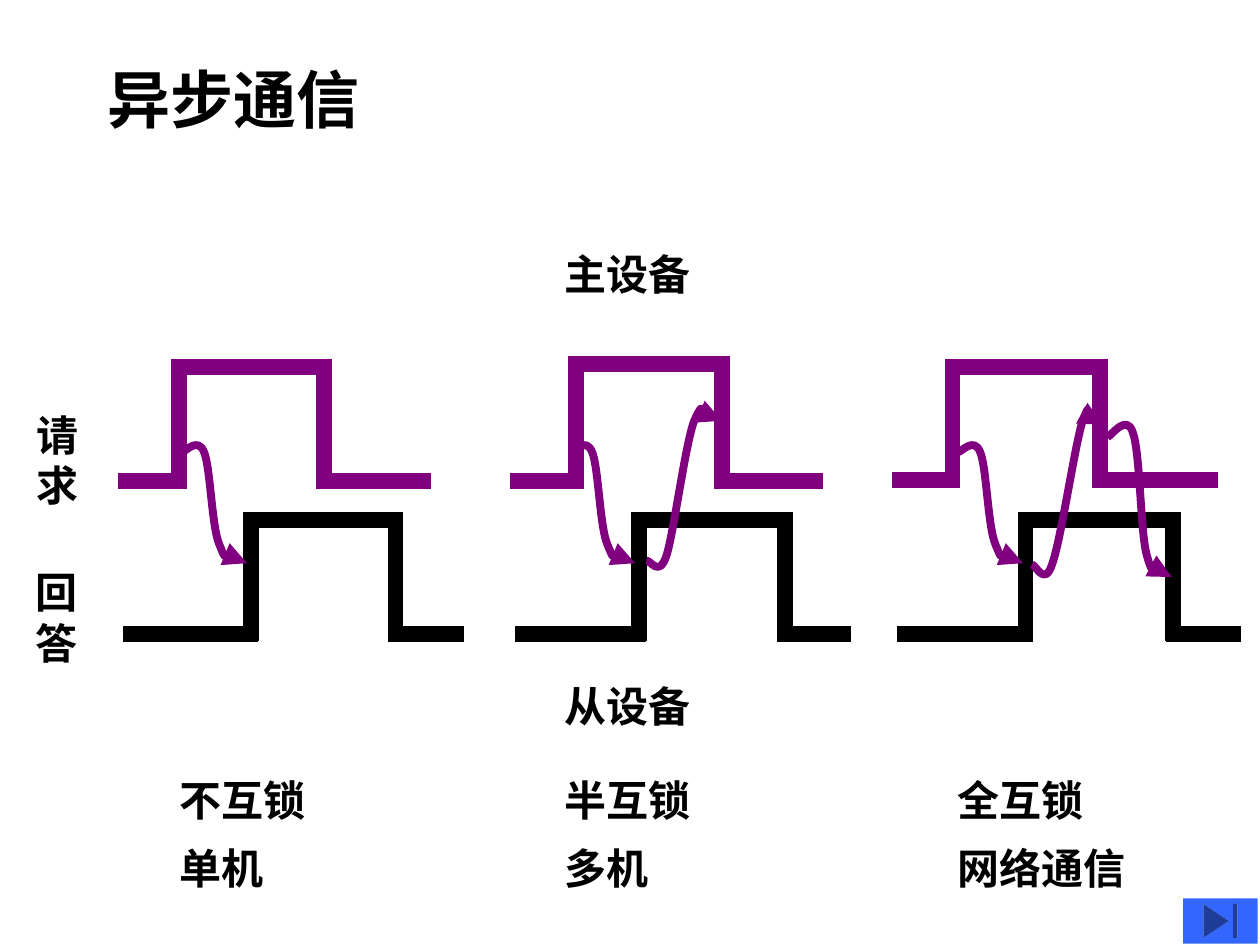
from lxml import etree
from pptx import Presentation
from pptx.dml.color import RGBColor
from pptx.enum import shapes, text
from pptx.oxml import ns
from pptx.util import Inches, Pt

BLACK = RGBColor(0x00, 0x00, 0x00)
PURPLE = RGBColor(0x80, 0x00, 0x80)
BLUE = RGBColor(0x33, 0x66, 0xFF)
FONT = "Times New Roman"
HALF_LINE = 0.06
COLUMN_STEP = 3.08

# Left end, rising edge, falling edge, right end, high level, low level
REQUESTS = [
    (0.94, 1.42, 2.57, 3.42, 2.91, 3.82),
    (4.05, 4.57, 5.73, 6.53, 2.89, 3.82),
    (7.08, 7.56, 8.73, 9.67, 2.91, 3.81),
]
ANSWERS = [
    (0.98, 1.99, 3.14, 3.68, 4.13, 5.03),
    (4.09, 5.07, 6.23, 6.75, 4.13, 5.03),
    (7.12, 8.14, 9.31, 9.85, 4.13, 5.03),
]

# Start point, then three points for each Bezier segment
REQUEST_TO_ANSWER = [
    (1.44, 3.59), (1.47, 3.59), (1.57, 3.46), (1.62, 3.59), (1.67, 3.71),
    (1.68, 4.18), (1.74, 4.32), (1.8, 4.47), (1.91, 4.44), (1.96, 4.47),
]
ANSWER_TO_REQUEST = [
    [(5.13, 4.45), (5.16, 4.44), (5.23, 4.59), (5.29, 4.41), (5.35, 4.22),
     (5.44, 3.52), (5.51, 3.34), (5.59, 3.17), (5.7, 3.34), (5.73, 3.34)],
    [(8.19, 4.48), (8.22, 4.48), (8.29, 4.66), (8.35, 4.48), (8.42, 4.29),
     (8.53, 3.54), (8.59, 3.35), (8.66, 3.17), (8.72, 3.36), (8.75, 3.37)],
]
REQUEST_END_TO_ANSWER_END = [
    (8.79, 3.47), (8.82, 3.46), (8.94, 3.28), (8.99, 3.43), (9.05, 3.59),
    (9.05, 4.21), (9.1, 4.4), (9.15, 4.58), (9.27, 4.51), (9.3, 4.54),
    (9.33, 4.57), (9.3, 4.57), (9.3, 4.58),
]

# Left edge, box width, wording
MODES = [
    (1.33, "不互锁", "单机"),
    (4.38, "半互锁", "多机"),
    (7.5, "全互锁", "网络通信"),
]


def format_text(frame, wording, size):
    """Fill a text frame with bold black text."""
    frame.text = wording
    frame.vertical_anchor = text.MSO_ANCHOR.TOP
    for paragraph in frame.paragraphs:
        paragraph.alignment = text.PP_ALIGN.LEFT
        for run in paragraph.runs:
            run.font.size = Pt(size)
            run.font.name = FONT
            run.font.bold = True
            run.font.color.rgb = BLACK


def set_title(slide, wording):
    """Move and format the title placeholder."""
    title = slide.shapes.title
    title.left, title.top = Inches(0.75), Inches(0.43)
    title.width, title.height = Inches(3.07), Inches(0.7)
    format_text(title.text_frame, wording, 36)


def add_label(slide, wording, left, top, width=1.67, height=0.5, wrap=True):
    """Add a text label."""
    label = slide.shapes.add_textbox(
        Inches(left), Inches(top), Inches(width), Inches(height))
    frame = label.text_frame
    format_text(frame, wording, 24)
    frame.word_wrap = wrap
    frame.auto_size = text.MSO_AUTO_SIZE.SHAPE_TO_FIT_TEXT


def add_level(slide, start, end, color):
    """Add one straight piece of a waveform."""
    level = slide.shapes.add_connector(
        shapes.MSO_CONNECTOR.STRAIGHT, *map(Inches, start + end))
    level.line.color.rgb = color
    level.line.width = Pt(9)
    etree.SubElement(level._element.spPr, ns.qn("a:effectLst"))


def add_pulse(slide, left, rise, fall, right, high, low, color):
    """Add a pulse whose pieces overlap at the corners."""
    h = HALF_LINE
    add_level(slide, (left, low), (rise + h, low), color)
    add_level(slide, (rise, high - h), (rise, low + h), color)
    add_level(slide, (rise - h, high), (fall + h, high), color)
    add_level(slide, (fall, high - h), (fall, low + h), color)
    add_level(slide, (fall - h, low), (right, low), color)


def add_curved_arrow(slide, points, shift=0):
    """Add a Bezier curve with an arrowhead at its end."""
    corners = [(Inches(x + shift), Inches(y)) for x, y in points]
    builder = slide.shapes.build_freeform(*corners[0])
    builder.add_line_segments(corners[1:], close=False)
    curve = builder.convert_to_shape()
    lines = list(curve._element.iter(ns.qn("a:lnTo")))
    for first in range(0, len(lines), 3):
        bezier = etree.Element(ns.qn("a:cubicBezTo"))
        lines[first].addprevious(bezier)
        for line in lines[first:first + 3]:
            bezier.append(line[0])
            line.getparent().remove(line)
    curve.shadow.inherit = False
    curve.fill.background()
    curve.line.color.rgb = PURPLE
    curve.line.width = Pt(4.5)
    etree.SubElement(
        curve.line._get_or_add_ln(), ns.qn("a:tailEnd"), type="triangle")


def add_end_button(slide):
    """Add the button in the lower right corner."""
    button = slide.shapes.add_shape(
        shapes.MSO_SHAPE.ACTION_BUTTON_END,
        Inches(9.39), Inches(7.13), Inches(0.59), Inches(0.36))
    button.shadow.inherit = False
    button.fill.solid()
    button.fill.fore_color.rgb = BLUE
    button.line.fill.background()


def main():
    """Build the slide on asynchronous communication."""
    deck = Presentation()
    deck.slide_width, deck.slide_height = Inches(10), Inches(7.5)
    slide = deck.slides.add_slide(deck.slide_layouts[5])
    set_title(slide, "异步通信")

    add_label(slide, "主设备", 4.38, 1.92, 2.53)
    add_label(slide, "从设备", 4.38, 5.35, 2.95)
    add_label(slide, "请\n求", 0.19, 3.2, 0.54, 0.9, wrap=False)
    add_label(slide, "回\n答", 0.18, 4.45, 0.54, 0.9, wrap=False)
    for left, locking, usage in MODES:
        add_label(slide, locking, left, 6.1)
        add_label(slide, usage, left, 6.64)

    for pulses, color in ((REQUESTS, PURPLE), (ANSWERS, BLACK)):
        for pulse in pulses:
            add_pulse(slide, *pulse, color)

    for column in range(len(MODES)):
        add_curved_arrow(slide, REQUEST_TO_ANSWER, column * COLUMN_STEP)
    for points in ANSWER_TO_REQUEST:
        add_curved_arrow(slide, points)
    add_curved_arrow(slide, REQUEST_END_TO_ANSWER_END)

    add_end_button(slide)
    deck.save("out.pptx")


main()
